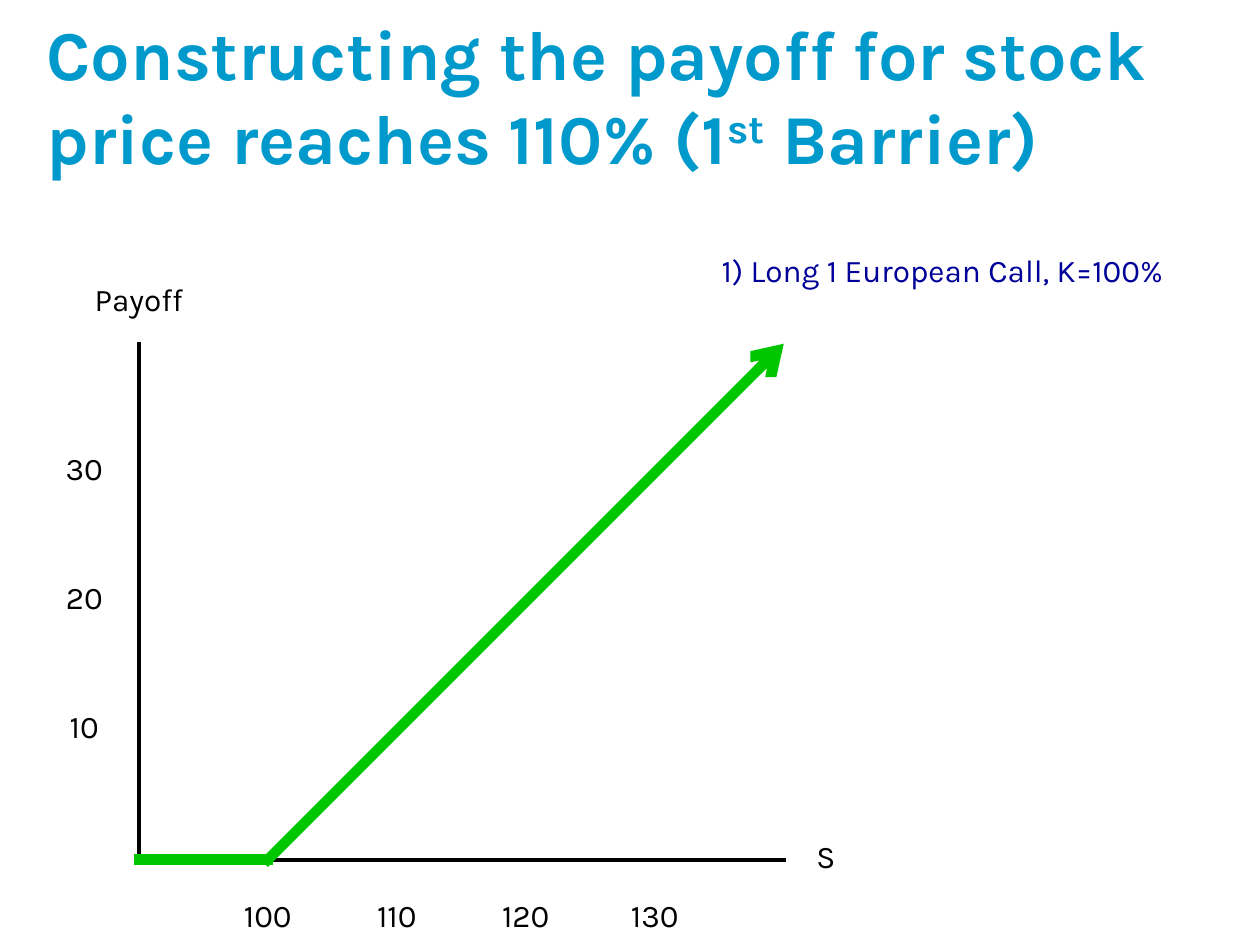
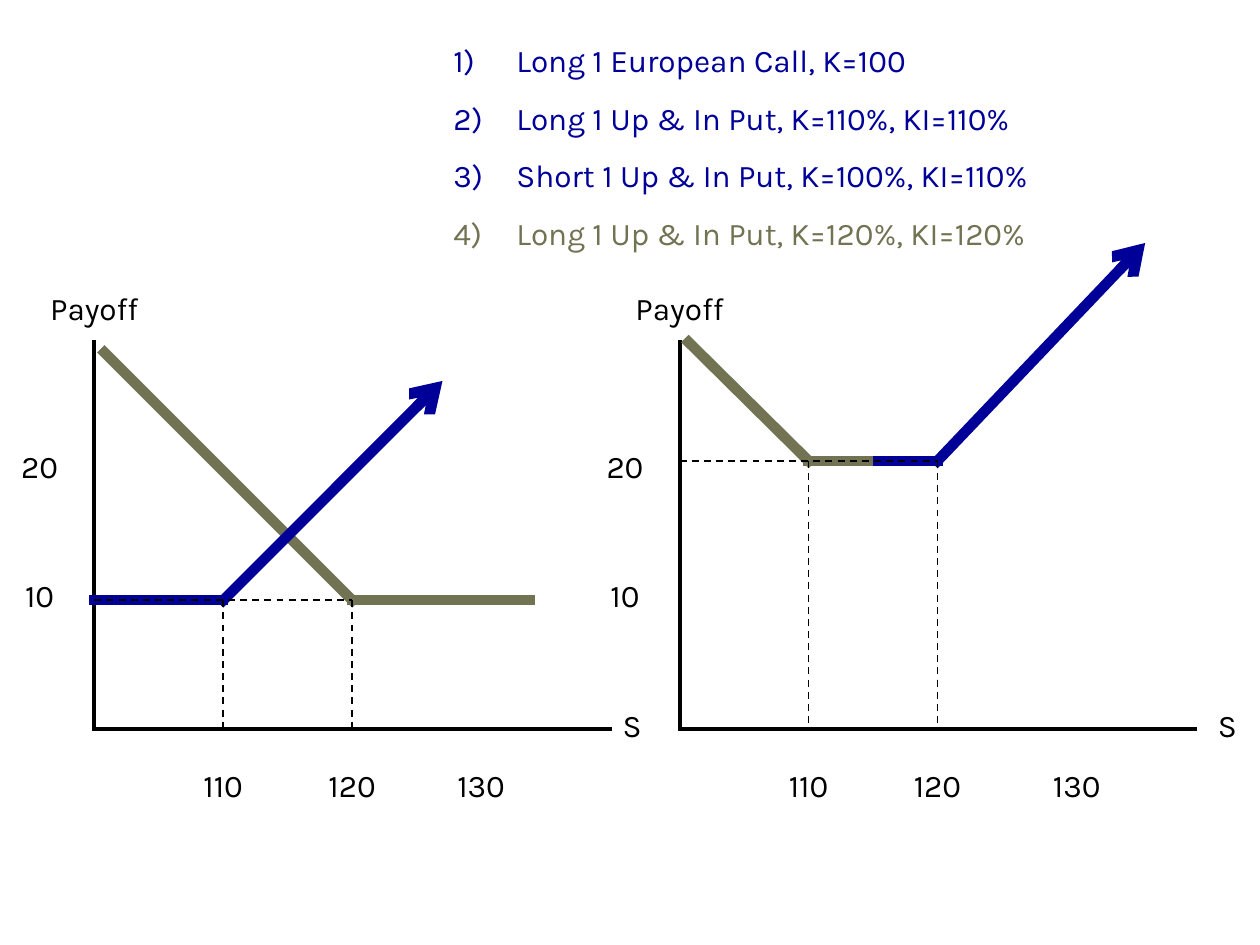
"""Build two slides that construct an option payoff."""
from dataclasses import dataclass
from itertools import pairwise

from lxml import etree
from pptx import Presentation
from pptx.dml.color import RGBColor
from pptx.enum.dml import MSO_LINE
from pptx.enum.shapes import MSO_CONNECTOR
from pptx.enum.text import MSO_ANCHOR, PP_ALIGN
from pptx.oxml.ns import qn
from pptx.util import Cm, Pt

STRAIGHT = MSO_CONNECTOR.STRAIGHT
DASH = MSO_LINE.DASH
LEFT, CENTER = PP_ALIGN.LEFT, PP_ALIGN.CENTER
MIDDLE = MSO_ANCHOR.MIDDLE


@dataclass(frozen=True)
class Theme:
    """Colours, font and sizes shared by the slides."""
    font: str = "Karla"
    title_color: str = "0099CC"
    axis_color: str = "000000"
    call: str = "00C600"
    navy: str = "000099"
    olive: str = "717353"
    title_size: int = 40
    text_size: int = 18
    paragraph_gap: float = 11.2
    axis_width: float = 2.25
    payoff_width: float = 6
    guide_width: float = 1


THEME = Theme()
LABEL_HEIGHT = 1.02
STEP = 2.6


@dataclass(frozen=True)
class Axes:
    """Payoff axes: origin in centimetres, extent in grid steps."""
    left: float
    bottom: float
    columns: int
    rows: int

    def point(self, column, row):
        """Return the position of a grid point in centimetres."""
        return self.left + column * STEP, self.bottom - row * STEP


def write_text(paragraph, text, *, size=THEME.text_size, color=THEME.axis_color,
               bold=False, baseline=None):
    """Append a formatted run to a paragraph."""
    run = paragraph.add_run()
    run.text = text
    run.font.name = THEME.font
    run.font.size = Pt(size)
    run.font.bold = bold
    run.font.color.rgb = RGBColor.from_string(color)
    if baseline:
        run.font._element.set("baseline", str(baseline * 1000))


def add_text_frame(slide, left, top, width, height):
    """Add a wrapping text box and return its text frame."""
    shape = slide.shapes.add_textbox(Cm(left), Cm(top), Cm(width), Cm(height))
    shape.text_frame.word_wrap = True
    return shape.text_frame


def add_label(slide, text, left, middle, width, *, align=CENTER, color=THEME.axis_color):
    """Add a one-line label centred vertically on a height."""
    frame = add_text_frame(slide, left, middle - LABEL_HEIGHT / 2, width, LABEL_HEIGHT)
    paragraph = frame.paragraphs[0]
    paragraph.alignment = align
    write_text(paragraph, text, color=color)


def add_title(slide, *runs):
    """Add the slide title from pairs of text and baseline."""
    frame = add_text_frame(slide, 0.69, 0.71, 24, 2.41)
    frame.vertical_anchor = MIDDLE
    for text, baseline in runs:
        write_text(frame.paragraphs[0], text, size=THEME.title_size,
                   color=THEME.title_color, bold=True, baseline=baseline)


def add_numbered_list(slide, items, left, top, width, height):
    """Add a numbered list from pairs of text and colour."""
    frame = add_text_frame(slide, left, top, width, height)
    for index, (text, color) in enumerate(items):
        paragraph = frame.add_paragraph() if index else frame.paragraphs[0]
        properties = paragraph._p.get_or_add_pPr()
        properties.set("marL", str(Cm(1.27)))
        properties.set("indent", str(-Cm(1.27)))
        bullet_color = etree.SubElement(properties, qn("a:buClr"))
        etree.SubElement(bullet_color, qn("a:srgbClr"), val=color)
        etree.SubElement(properties, qn("a:buFont"), typeface=THEME.font)
        etree.SubElement(properties, qn("a:buAutoNum"), type="arabicParenR")
        if index:
            paragraph.space_before = Pt(THEME.paragraph_gap)
        write_text(paragraph, text, color=color)


def add_line(slide, start, end, *, color=THEME.axis_color, width=THEME.axis_width,
             dashed=False, arrow=False):
    """Draw a straight line between two points in centimetres."""
    connector = slide.shapes.add_connector(STRAIGHT, *map(Cm, (*start, *end)))
    connector.line.color.rgb = RGBColor.from_string(color)
    connector.line.width = Pt(width)
    properties = connector._element.spPr
    outline = properties.find(qn("a:ln"))
    if dashed:
        connector.line.dash_style = DASH
    else:
        outline.set("cap", "sq")
    if arrow:
        etree.SubElement(outline, qn("a:tailEnd"), type="arrow")
    etree.SubElement(properties, qn("a:effectLst"))


def add_axes(slide, axes, prices, payoffs, *, payoff_gap=0.69, price_gap=0):
    """Draw both axes with their names and scale labels."""
    origin = axes.point(0, 0)
    top = axes.point(0, axes.rows)
    right = axes.point(axes.columns, 0)
    add_line(slide, top, origin)
    add_line(slide, origin, right)
    add_label(slide, "Payoff", axes.left - 1.2, top[1] - payoff_gap, 2.4)
    add_label(slide, "S", right[0] + price_gap, axes.bottom - 0.08, 1.05, align=LEFT)
    for price, column in prices.items():
        add_label(slide, str(price), axes.point(column, 0)[0] - 0.8,
                  axes.bottom + 1.12, 1.6)
    for row, payoff in enumerate(payoffs, start=1):
        add_label(slide, str(payoff), axes.left - 1.8, axes.point(0, row)[1] - 0.1, 1.4)


def add_payoff(slide, axes, points, color, *, arrow=False):
    """Draw a payoff through grid points, with an arrow on the last part if asked."""
    segments = list(pairwise(points))
    for index, (start, end) in enumerate(segments, start=1):
        add_line(slide, axes.point(*start), axes.point(*end), color=color,
                 width=THEME.payoff_width, arrow=arrow and index == len(segments))


def add_guides(slide, axes, row):
    """Draw dashed guides from the first two price steps to a payoff level."""
    ends = [((1, row), (1, 0)), ((2, row), (2, 0)), ((0, row), (2, row))]
    for start, end in ends:
        add_line(slide, axes.point(*start), axes.point(*end),
                 width=THEME.guide_width, dashed=True)


def build_first_barrier(slide):
    """Build the slide with the European call alone."""
    axes = Axes(left=2.8, bottom=17.33, columns=5, rows=4)
    add_axes(slide, axes, {100: 1, 110: 2, 120: 3, 130: 4}, (10, 20, 30),
             payoff_gap=0.89, price_gap=0.41)
    add_payoff(slide, axes, [(0, 0), (1, 0), (5, 4)], THEME.call, arrow=True)
    add_label(slide, "1) Long 1 European Call, K=100%", 14.3, 5.44, 11.1,
              align=LEFT, color=THEME.navy)
    add_title(slide, ("Constructing the payoff for stock price reaches 110% (1", None),
              ("st", 30), (" Barrier)", None))


def build_second_barrier(slide):
    """Build the slide with separate and combined payoffs."""
    separate = Axes(left=1.9, bottom=14.7, columns=4, rows=3)
    add_axes(slide, separate, {110: 1, 120: 2, 130: 3}, (10, 20))
    add_payoff(slide, separate, [(0.08, 2.92), (2, 1), (3.38, 1)], THEME.olive)
    add_payoff(slide, separate, [(0, 1), (1, 1), (2.7, 2.7)], THEME.navy, arrow=True)
    add_guides(slide, separate, 1)

    combined = Axes(left=13.7, bottom=14.7, columns=4, rows=3)
    level = 2.08
    add_axes(slide, combined, {110: 1, 120: 2, 130: 3.08}, (10, 20), price_gap=0.2)
    add_payoff(slide, combined, [(0.07, 3), (1, level), (1.47, level)], THEME.olive)
    add_payoff(slide, combined, [(1.54, level), (2, level), (3.61, 3.77)],
               THEME.navy, arrow=True)
    add_guides(slide, combined, level)

    positions = [
        ("Long 1 European Call, K=100", THEME.navy),
        ("Long 1 Up & In Put, K=110%, KI=110%", THEME.navy),
        ("Short 1 Up & In Put, K=100%, KI=110%", THEME.navy),
        ("Long 1 Up & In Put, K=120%, KI=120%", THEME.olive),
    ]
    add_numbered_list(slide, positions, 8.89, 0.71, 14.1, 4.5)


def main():
    """Create and save the presentation."""
    presentation = Presentation()
    presentation.slide_width = Cm(25.4)
    presentation.slide_height = Cm(19.05)
    blank = presentation.slide_layouts[6]
    for build in (build_first_barrier, build_second_barrier):
        build(presentation.slides.add_slide(blank))
    presentation.save("out.pptx")


if __name__ == "__main__":
    main()
